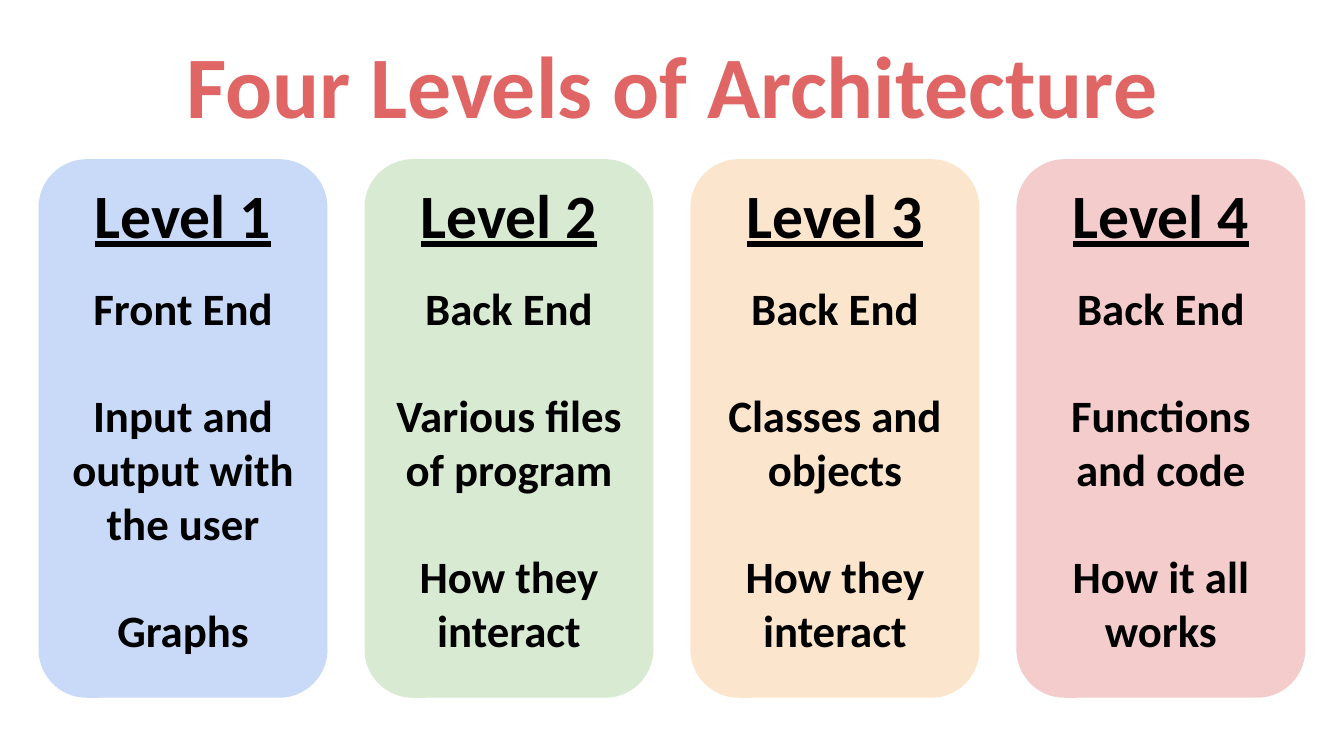
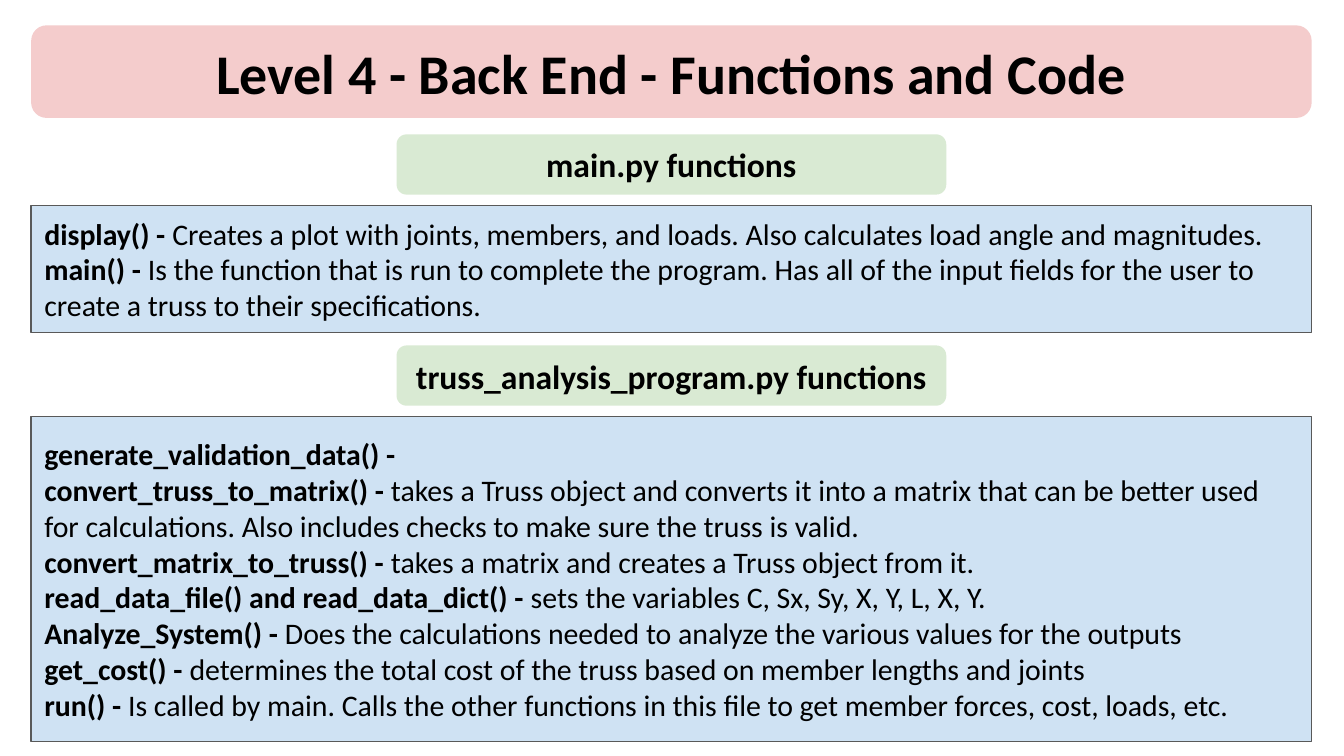
from pptx import Presentation
from pptx.dml.color import RGBColor
from pptx.enum import shapes, text
from pptx.util import Cm, Pt

FONT = "Calibri"
COLORS = {
    "title": "E06666", "text": "000000", "outline": "595959",
    "blue": "C9DAF8", "green": "D9EAD3", "orange": "FCE5CD", "red": "F4CCCC",
    "panel": "CFE2F3",
}
INSET = 0.25
BLANK_LINE = 28.8  # points between the entries of a level

LEVELS = [
    ("Level 1", "blue", ["Front End", "Input and output with the user", "Graphs"]),
    ("Level 2", "green", ["Back End", "Various files of program", "How they interact"]),
    ("Level 3", "orange", ["Back End", "Classes and objects", "How they interact"]),
    ("Level 4", "red", ["Back End", "Functions and code", "How it all works"]),
]

# heading, top, panel height, (function, description) pairs
SECTIONS = [
    ("main.py functions", 2.54, 2.41, [
        ("display()", "Creates a plot with joints, members, and loads. "
                      "Also calculates load angle and magnitudes."),
        ("main()", "Is the function that is run to complete the program. Has all of the "
                   "input fields for the user to create a truss to their specifications."),
    ]),
    ("truss_analysis_program.py functions", 6.53, 6.15, [
        ("generate_validation_data()", ""),
        ("convert_truss_to_matrix()",
         "takes a Truss object and converts it into a matrix that can be better used for "
         "calculations. Also includes checks to make sure the truss is valid."),
        ("convert_matrix_to_truss()", "takes a matrix and creates a Truss object from it."),
        ("read_data_file() and read_data_dict()",
         "sets the variables C, Sx, Sy, X, Y, L, X, Y."),
        ("Analyze_System()",
         "Does the calculations needed to analyze the various values for the outputs"),
        ("get_cost()",
         "determines the total cost of the truss based on member lengths and joints"),
        ("run()", "Is called by main. Calls the other functions in this file to get "
                  "member forces, cost, loads, etc."),
    ]),
]


def rgb(name):
    return RGBColor.from_string(COLORS[name])


def style_run(r, size, color="text", bold=True, underline=None):
    r.font.name = FONT
    r.font.size = Pt(size)
    r.font.bold = bold
    r.font.underline = underline
    r.font.color.rgb = rgb(color)


def frame(sp):
    """Return the shape's text frame, wrapped, centred vertically and evenly inset."""
    tf = sp.text_frame
    tf.word_wrap = True
    tf.vertical_anchor = text.MSO_ANCHOR.MIDDLE
    tf.margin_left = tf.margin_right = tf.margin_top = tf.margin_bottom = Cm(INSET)
    return tf


def write_centred(sp, lines, size, gap=0, **style):
    tf = frame(sp)
    tf.text = "\n".join(lines)
    for i, p in enumerate(tf.paragraphs):
        p.alignment = text.PP_ALIGN.CENTER
        p.space_before = Pt(gap if i else 0)
        for r in p.runs:
            style_run(r, size, **style)


def add_label(slide, x, y, w, h, lines, size, **style):
    sp = slide.shapes.add_textbox(Cm(x), Cm(y), Cm(w), Cm(h))
    write_centred(sp, lines, size, **style)


def add_block(slide, x, y, w, h, fill, kind="ROUNDED_RECTANGLE", outline=None):
    sp = slide.shapes.add_shape(shapes.MSO_SHAPE[kind], Cm(x), Cm(y), Cm(w), Cm(h))
    sp.shadow.inherit = False
    sp.fill.solid()
    sp.fill.fore_color.rgb = rgb(fill)
    if outline:
        sp.line.color.rgb = rgb(outline)
        sp.line.width = Pt(0.75)
    else:
        sp.line.fill.background()
    return sp


def add_level(slide, x, y, w, h, name, fill, entries):
    add_block(slide, x, y, w, h, fill)
    side = 0.21
    label_w = w - 2 * side
    add_label(slide, x + side, y + 0.23, label_w, 1.6, [name], 33, underline=True)
    add_label(slide, x + side, y + 2.06, label_w, h - 2.61, entries, 24, gap=BLANK_LINE)


def add_function_panel(slide, x, y, w, h, functions):
    tf = frame(add_block(slide, x, y, w, h, "panel", "RECTANGLE", "outline"))
    for i, (name, description) in enumerate(functions):
        p = tf.add_paragraph() if i else tf.paragraphs[0]
        p.alignment = text.PP_ALIGN.LEFT
        p.text = f"{name} -"
        style_run(p.runs[0], 16)
        if description:
            r = p.add_run()
            r.text = f" {description}"
            style_run(r, 16, bold=False)


def add_section(slide, x, y, w, heading, panel_h, functions):
    """Place a centred heading pill and the panel of functions below it."""
    pill_w = 10.39
    pill = add_block(slide, x + (w - pill_w) / 2, y, pill_w, 1.14, "green")
    write_centred(pill, [heading], 18)
    add_function_panel(slide, x, y + 1.34, w, panel_h, functions)


def levels_slide(slide):
    level_w, gap = 5.46, 0.7
    for i, level in enumerate(LEVELS):
        add_level(slide, 0.73 + i * (level_w + gap), 3.01, level_w, 10.18, *level)
    add_label(slide, 2.12, 0.15, 21.18, 2.84, ["Four Levels of Architecture"], 47,
              color="title")


def functions_slide(slide):
    x, w = 0.59, 24.2
    header = add_block(slide, x, 0.48, w, 1.75, "red")
    write_centred(header, ["Level 4 - Back End - Functions and Code"], 30)
    for heading, y, panel_h, functions in SECTIONS:
        add_section(slide, x, y, w, heading, panel_h, functions)


def main():
    prs = Presentation()
    prs.slide_width, prs.slide_height = Cm(25.4), Cm(14.29)
    for build in (levels_slide, functions_slide):
        build(prs.slides.add_slide(prs.slide_layouts[6]))
    prs.save("out.pptx")


if __name__ == "__main__":
    main()
